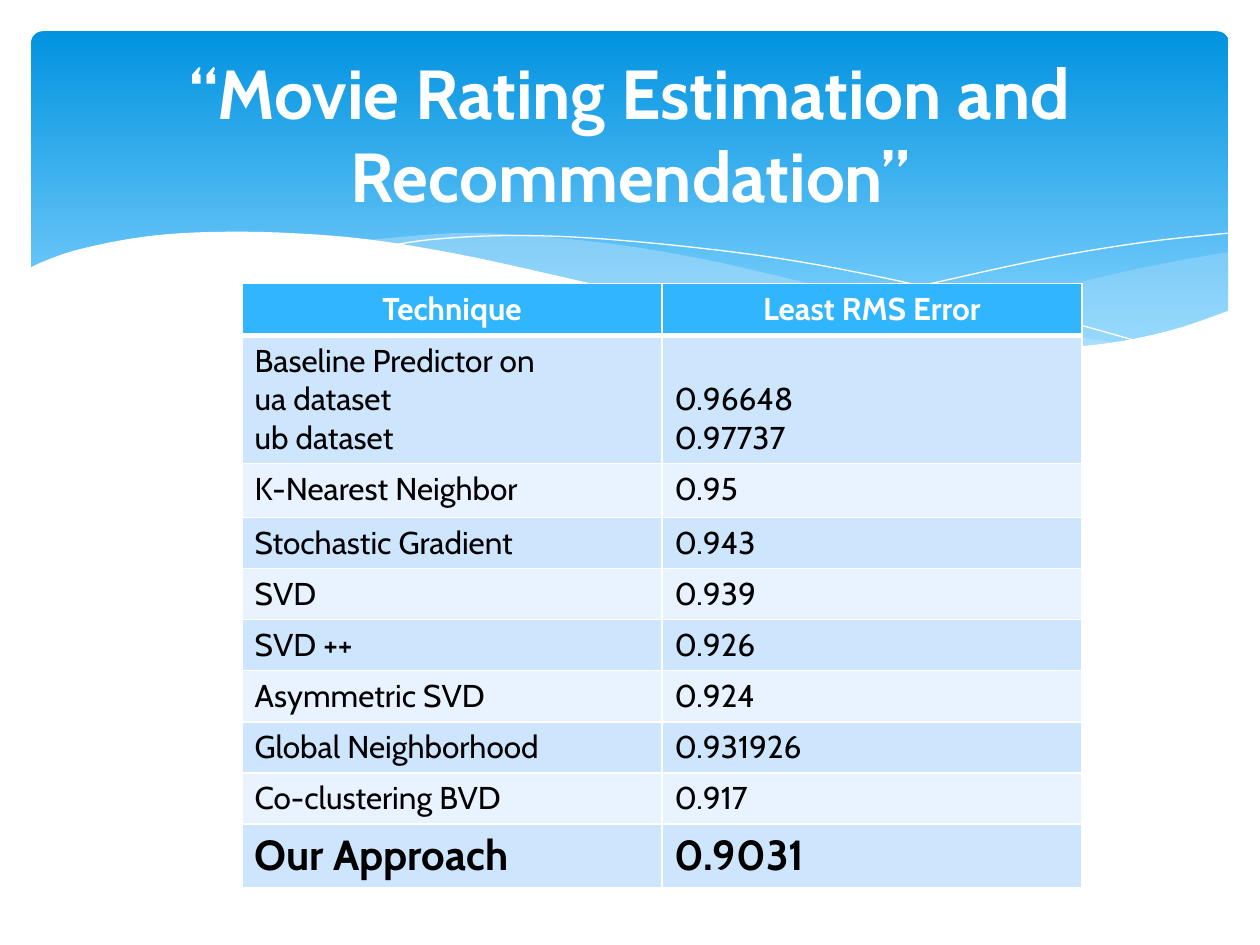
from lxml import etree
from pptx import Presentation, util as u
from pptx.dml.color import RGBColor
from pptx.enum import shapes, text
from pptx.oxml.ns import qn

FONT = "Cabin"
COLOURS = {
    "sky_top": "0293E0", "sky_bottom": "83D3FE", "mist": "C6E7FC", "white": "FFFFFF",
    "ink": "000000", "header": "31B6FD", "odd": "CEE5FE", "even": "E8F3FF",
}
RIGHT_MIST = [
    [(97.5, 20), (93.5, 20.7), (89.1, 21.6), (83.2, 23), (75.3, 24.8), (66.1, 26.5)],
    [(66.1, 26.5), (70.5, 27.1), (75.7, 27.6), (81.4, 27.8), (87.2, 27.4), (92.8, 26.3), (97.6, 24.7)],
]
CENTRE_MIST = [
    [(89.3, 27.3), (80.7, 26), (70.6, 24), (61.3, 21.8), (55.5, 20.5), (48.9, 19.4),
     (42, 18.7), (36.1, 18.5), (28.6, 19.1)],
    [(28.6, 19.1), (36.2, 20.3), (44.9, 22.2), (56.6, 24.8), (65, 26.4), (72.2, 27.4),
     (78.5, 27.8), (83.8, 27.8), (89.3, 27.3)],
]
FALLING_LINE = [[(30.9, 19.5), (34.4, 19), (40.1, 18.7), (46.9, 18.9), (55.6, 19.7),
                 (63.6, 20.8), (72.7, 22.6), (83.1, 25.1), (90.7, 27.2)]]
RISING_LINE = [[(61.3, 25.7), (67.2, 24.1), (74.8, 22.3), (83.6, 20.4), (91, 19.2), (97.5, 18.5)]]
FRONT_WAVE = [
    [(97.7, 24.6), (93, 26.2), (87.5, 27.3), (80.9, 27.7), (72.6, 27.2), (62.6, 25.8),
     (52.9, 23.9), (44.7, 22), (36.5, 20.2), (29.2, 19), (23, 18.5), (17.7, 18.4),
     (13.2, 18.6), (9.5, 19.1), (5.9, 19.9), (3.6, 20.7), (2.3, 21.3)],
    [(2.3, 32.9), (97.7, 32.9)],
]
ERRORS = [
    ("Technique", "Least RMS Error", 1.04),
    ("Baseline Predictor on\vua dataset\nub dataset", "0.96648\n0.97737", 2.57),
    ("K-Nearest Neighbor", "0.95", 1.09),
    ("Stochastic Gradient", "0.943", 1.03),
    ("SVD", "0.939", 1.03),
    ("SVD ++", "0.926", 1.03),
    ("Asymmetric SVD", "0.924", 1.03),
    ("Global Neighborhood", "0.931926", 1.03),
    ("Co-clustering BVD", "0.917", 1.03),
    ("Our Approach", "0.9031", 1.27),
]


def colour(name):
    """Return the named colour."""
    return RGBColor.from_string(COLOURS[name])


def write(frame, words, size=18, ink="ink", bold=False, align=text.PP_ALIGN.LEFT):
    """Fill a text frame and format its runs."""
    frame.text = words
    for paragraph in frame.paragraphs:
        paragraph.alignment = align
        for run in paragraph.runs:
            run.font.name = FONT
            run.font.size = u.Pt(size)
            run.font.bold = bold
            run.font.color.rgb = colour(ink)


def smooth(knots, steps=6):
    """Return points on a Catmull-Rom curve through the knots."""
    if len(knots) < 3:
        return knots
    padded = [knots[0], *knots, knots[-1]]
    points = [knots[0]]
    for a, b, c, d in zip(padded, padded[1:], padded[2:], padded[3:]):
        for step in range(1, steps + 1):
            t = step / steps
            points.append(tuple(
                (2 * q + (r - p) * t + (2 * p - 5 * q + 4 * r - s) * t ** 2
                 + (3 * q - p - 3 * r + s) * t ** 3) / 2
                for p, q, r, s in zip(a, b, c, d)))
    return points


def add_wave(slide, box, curves, fill=None, opacity=100):
    """Draw a filled wave or a hairline, in percent of the box width."""
    left, top, width, _ = box
    points = [(left + x * width / 100, top + y * width / 100)
              for curve in curves for x, y in smooth(curve)]
    builder = slide.shapes.build_freeform(*points[0])
    builder.add_line_segments(points[1:], close=fill is not None)
    wave = builder.convert_to_shape()
    wave.shadow.inherit = False
    if fill is None:
        wave.fill.background()
        wave.line.color.rgb = colour("white")
        wave.line.width = 0
        return
    wave.line.fill.background()
    wave.fill.solid()
    wave.fill.fore_color.rgb = colour(fill)
    if opacity < 100:
        tint = next(wave.element.iter(qn("a:srgbClr")))
        etree.SubElement(tint, qn("a:alpha"), val=str(opacity * 1000))


def add_banner(slide, box):
    """Draw the blue banner with its waves at the top of the box."""
    left, top, width, _ = box
    inset = u.Cm(0.63)
    sky = slide.shapes.add_shape(shapes.MSO_SHAPE.ROUNDED_RECTANGLE, left + inset, top + inset,
                                 width - 2 * inset, u.Cm(6.86))
    sky.adjustments[0] = 0.034
    sky.shadow.inherit = False
    sky.line.fill.background()
    sky.fill.gradient()
    sky.fill.gradient_angle = 270
    for stop, name, position in zip(sky.fill.gradient_stops, ("sky_top", "sky_bottom"), (0, 0.9)):
        stop.color.rgb = colour(name)
        stop.position = position
    add_wave(slide, box, RIGHT_MIST, "mist", 29)
    add_wave(slide, box, CENTRE_MIST, "mist", 40)
    add_wave(slide, box, FALLING_LINE)
    add_wave(slide, box, RISING_LINE)
    add_wave(slide, box, FRONT_WAVE, "white")


def add_title(slide, box, words):
    """Set the title in the box, in front of the banner."""
    title = slide.shapes.title
    title.left, title.top, title.width, title.height = box
    title.element.getparent().append(title.element)
    write(title.text_frame, words, size=39.6, ink="white", bold=True, align=text.PP_ALIGN.CENTER)
    title.text_frame.word_wrap = True
    title.text_frame.auto_size = text.MSO_AUTO_SIZE.NONE
    title.text_frame.vertical_anchor = text.MSO_ANCHOR.MIDDLE


def add_borders(cell, above, below):
    """Give a cell white borders, with widths in points above and below."""
    properties = cell._tc.get_or_add_tcPr()
    for side, points in (("L", 1), ("R", 1), ("T", above), ("B", below)):
        border = etree.SubElement(properties, qn(f"a:ln{side}"), w=str(u.Pt(points)))
        paint = etree.SubElement(border, qn("a:solidFill"))
        etree.SubElement(paint, qn("a:srgbClr"), val=COLOURS["white"])


def add_error_table(slide, box):
    """Place the table of techniques and errors in the box."""
    table = slide.shapes.add_table(len(ERRORS), 2, *box).table
    last = len(ERRORS) - 1
    for index, (technique, error, height) in enumerate(ERRORS):
        table.rows[index].height = u.Cm(height)
        header = index == 0
        band = "header" if header else "odd" if index % 2 else "even"
        for cell, words in zip(table.rows[index].cells, (technique, error)):
            add_borders(cell, 3 if index == 1 else 1, 3 if header else 1)
            cell.fill.solid()
            cell.fill.fore_color.rgb = colour(band)
            write(cell.text_frame, words, size=24 if index == last else 18,
                  ink="white" if header else "ink", bold=index in (0, last),
                  align=text.PP_ALIGN.CENTER if header else text.PP_ALIGN.LEFT)
            if "\n" in words:
                cell.vertical_anchor = text.MSO_ANCHOR.BOTTOM


def main():
    """Build the slide and save it."""
    deck = Presentation()
    deck.slide_width, deck.slide_height = u.Cm(25.4), u.Cm(19.05)
    slide = deck.slides.add_slide(deck.slide_layouts[5])
    add_banner(slide, (0, 0, deck.slide_width, deck.slide_height))
    add_title(slide, (u.Cm(1.27), u.Cm(0.94), u.Cm(22.86), u.Cm(3.48)),
              "“Movie Rating Estimation and Recommendation”")
    add_error_table(slide, (u.Cm(4.88), u.Cm(5.72), u.Cm(16.93), u.Cm(12.12)))
    deck.save("out.pptx")


main()
